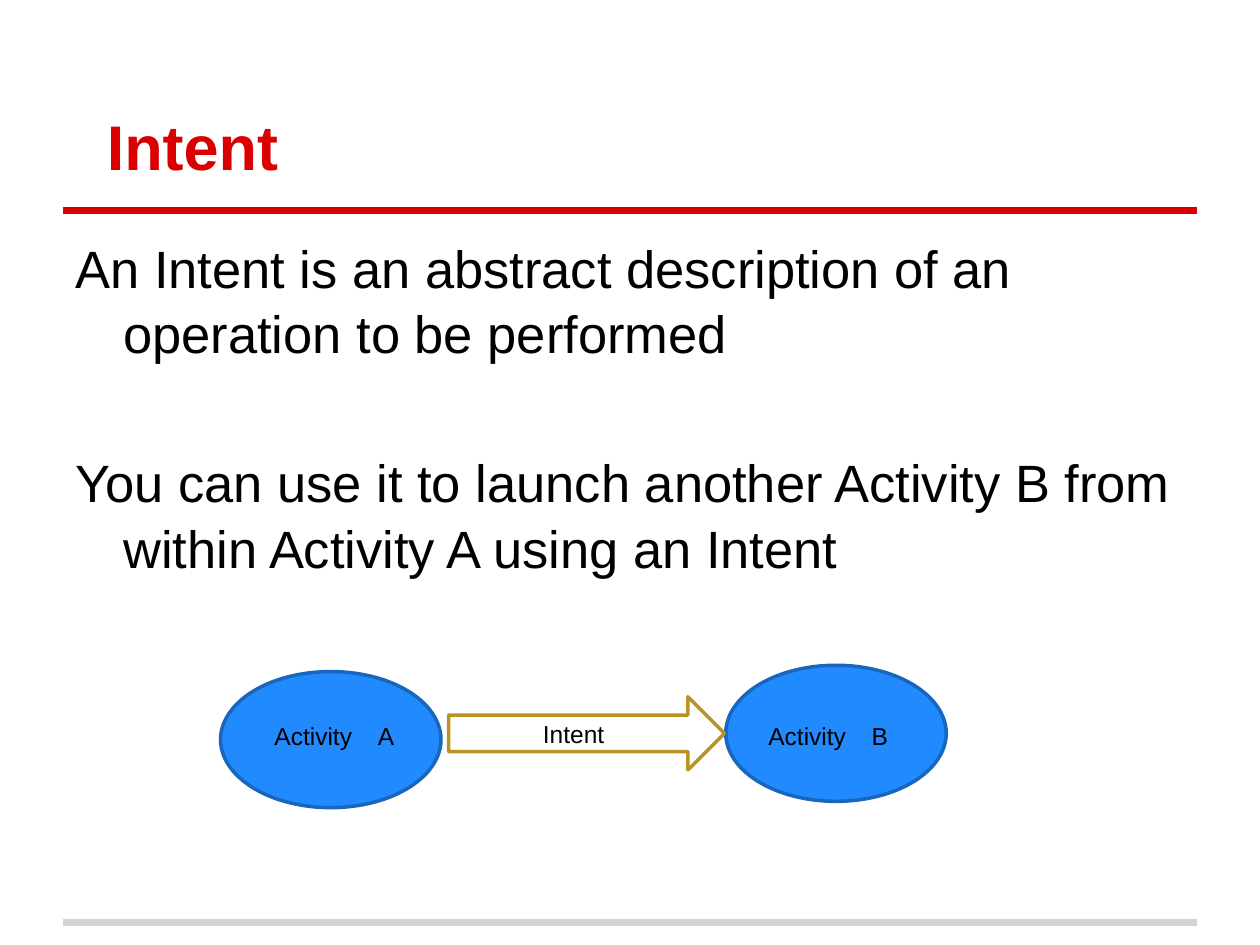
from pptx import Presentation
from pptx.dml.color import RGBColor
from pptx.enum.shapes import MSO_CONNECTOR, MSO_SHAPE
from pptx.enum.text import MSO_ANCHOR
from pptx.oxml.ns import qn
from pptx.util import Inches, Pt
from lxml import etree

LINE = MSO_CONNECTOR.STRAIGHT
OVAL, ARROW = MSO_SHAPE.OVAL, MSO_SHAPE.RIGHT_ARROW
TOP, BOTTOM = MSO_ANCHOR.TOP, MSO_ANCHOR.BOTTOM


class Theme:
    font = "Arial"
    red, grey, black = "DA0002", "CFD4D4", "000000"
    blue, navy, gold = "228AFF", "1966BD", "BA9423"
    title, body, label = 36, 30, 14
    rule, edge = 4, 2


class Deck:
    def __init__(self, slide):
        self.slide = slide
        self.theme = Theme

    def rule(self, y, color):
        line = self.slide.shapes.add_connector(
            LINE, Inches(0.5), Inches(y), Inches(9.5), Inches(y))
        line.line.color.rgb = RGBColor.from_string(color)
        line.line.width = Pt(self.theme.rule)
        etree.SubElement(line._element.spPr, qn("a:effectLst"))

    def text(self, box, lines, size, color=Theme.black, bold=False,
             anchor=TOP, inset=0.05, wrap=True):
        shape = self.slide.shapes.add_textbox(*map(Inches, box))
        frame = shape.text_frame
        frame.text = "\n".join(lines)
        frame.word_wrap = wrap
        frame.vertical_anchor = anchor
        frame.margin_left = frame.margin_right = Inches(0.1)
        frame.margin_top = frame.margin_bottom = Inches(inset)
        for par in frame.paragraphs:
            for run in par.runs:
                font = run.font
                font.name, font.size, font.bold = self.theme.font, Pt(size), bold
                font.color.rgb = RGBColor.from_string(color)
        return frame.paragraphs

    def indent(self, par, left, first):
        props = par._p.get_or_add_pPr()
        props.set("marL", str(Inches(left)))
        props.set("indent", str(Inches(first)))

    def tab(self, par, pos):
        stops = etree.SubElement(par._p.get_or_add_pPr(), qn("a:tabLst"))
        etree.SubElement(stops, qn("a:tab"), pos=str(Inches(pos)), algn="l")

    def shape(self, kind, box, edge, fill=None):
        shape = self.slide.shapes.add_shape(kind, *map(Inches, box))
        shape.shadow.inherit = False
        if fill:
            shape.fill.solid()
            shape.fill.fore_color.rgb = RGBColor.from_string(fill)
        else:
            shape.fill.background()
        shape.line.color.rgb = RGBColor.from_string(edge)
        shape.line.width = Pt(self.theme.edge)


def main():
    show = Presentation()
    show.slide_width, show.slide_height = Inches(10), Inches(7.5)
    deck = Deck(show.slides.add_slide(show.slide_layouts[6]))

    # Rules under the title and at the foot
    deck.rule(7.32, Theme.grey)
    deck.rule(1.67, Theme.red)

    # Title
    title = deck.text((0.5, 0.3, 9, 1.25), ["Intent"], Theme.title,
                      Theme.red, True, BOTTOM, 0.1)
    deck.indent(title[0], 0, 0.25)

    # Body, with hanging indents and a wide gap between the paragraphs
    body = deck.text((0.5, 1.75, 9, 5.43), [
        "An Intent is an abstract description of an operation to be performed",
        "You can use it to launch another Activity B from within Activity A "
        "using an Intent",
    ], Theme.body, inset=0.1)
    for par, gap in zip(body, (6, 48)):
        deck.indent(par, 0.38, -0.38)
        par.line_spacing = 1.04
        par.space_before = Pt(gap)

    # Activities
    for x, y in ((1.75, 5.33), (5.76, 5.28)):
        deck.shape(OVAL, (x, y, 1.75, 1.08), Theme.navy, Theme.blue)
    for name, x in (("A", 2.08), ("B", 6)):
        label = deck.text((x, 5.67, 1.83, 0.34), [f"Activity\t{name}"],
                          Theme.label)
        deck.tab(label[0], 0.82)

    # Intent arrow
    deck.text((4.21, 5.66, 0.92, 0.33), ["Intent"], Theme.label)
    deck.shape(ARROW, (3.56, 5.53, 2.19, 0.58), Theme.gold)

    show.save("out.pptx")


if __name__ == "__main__":
    main()
